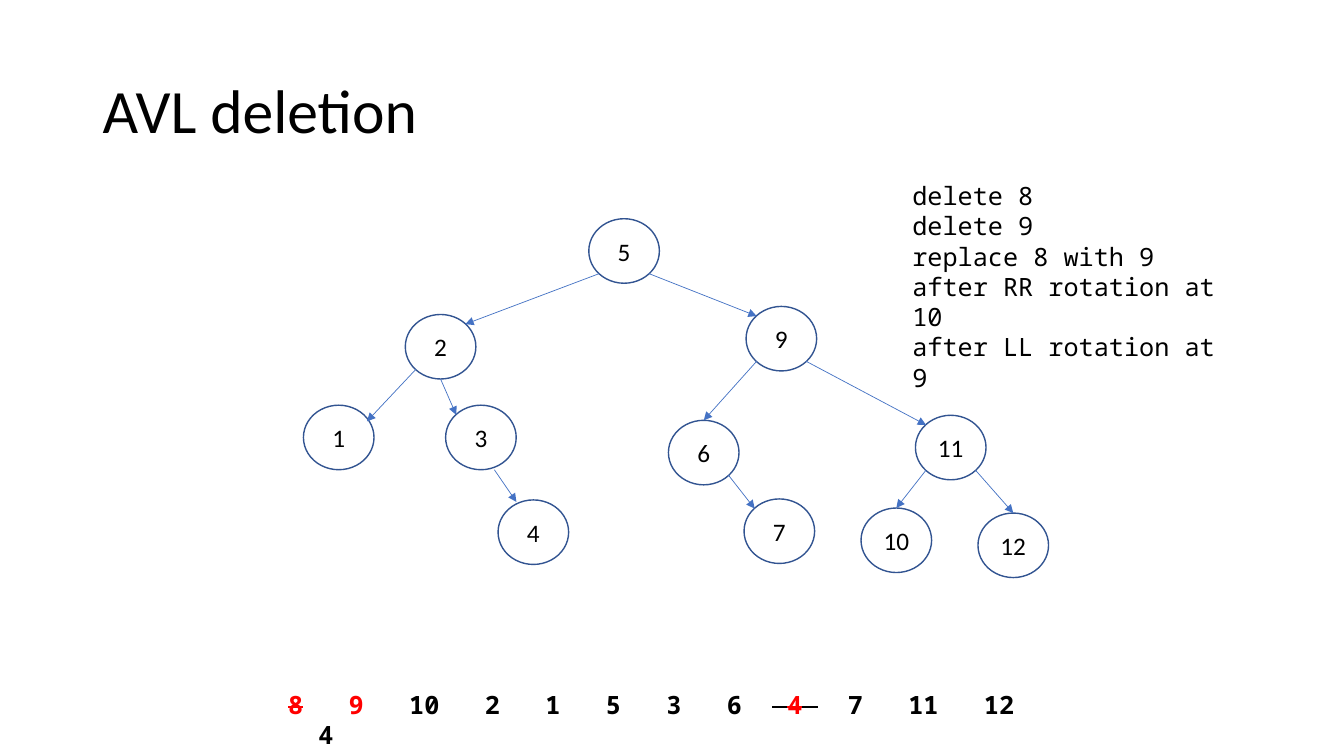
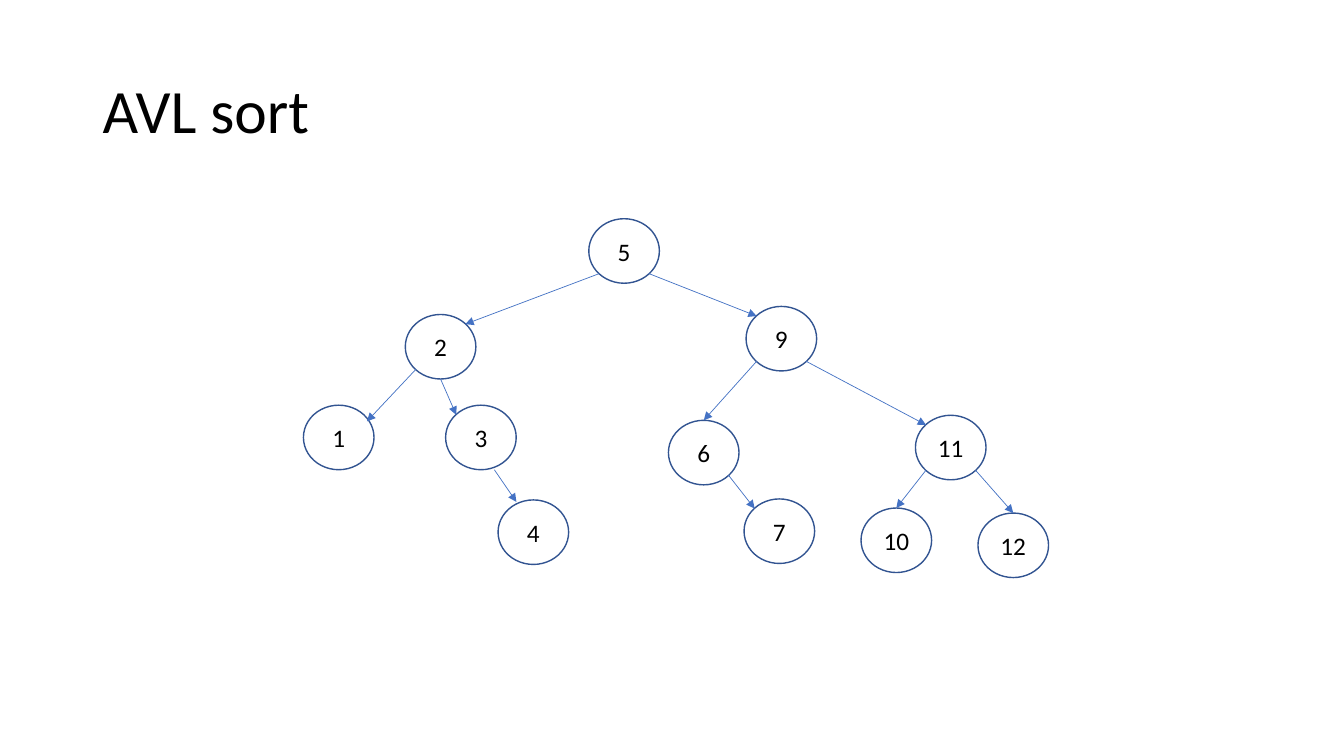
"""Build two slides that show an AVL tree after deletion and for sorting."""
from dataclasses import dataclass

from lxml import etree
from pptx import Presentation
from pptx import util as u
from pptx.dml.color import RGBColor
from pptx.enum import shapes, text
from pptx.oxml import ns


@dataclass(frozen=True)
class Theme:
    """Colours, fonts and sizes shared by the slides."""
    ink: str = "000000"
    mark: str = "FF0000"
    outline: str = "325491"
    arrow: str = "4472C4"
    body_font: str = "Calibri"
    mono_font: str = "Noto Sans Mono"
    title_size: int = 44
    body_size: int = 18
    node_width: float = 0.7
    node_height: float = 0.64
    mono_advance: float = 0.15


NODES = {
    5: (5.84, 2.17), 2: (4.02, 3.12), 9: (7.4, 3.04), 1: (3.01, 4.02),
    11: (9.08, 4.12), 6: (6.63, 4.17), 3: (4.42, 4.02), 7: (7.38, 4.95),
    12: (9.7, 5.09), 4: (4.94, 4.96), 10: (8.54, 5.04),
}
TOP, BOTTOM = (0.5, 0), (0.5, 1)
UPPER_LEFT, UPPER_RIGHT = (0.15, 0.15), (0.85, 0.15)
LOWER_LEFT, LOWER_RIGHT = (0.15, 0.85), (0.85, 0.85)
EDGES = [
    (5, LOWER_LEFT, 2, UPPER_RIGHT), (5, LOWER_RIGHT, 9, UPPER_LEFT),
    (2, LOWER_LEFT, 1, (0.9, 0.25)), (2, BOTTOM, 3, UPPER_LEFT),
    (3, (0.69, 1), 4, (0.26, 0.03)), (9, LOWER_LEFT, 6, TOP),
    (9, LOWER_RIGHT, 11, UPPER_LEFT), (6, LOWER_RIGHT, 7, UPPER_LEFT),
    (11, LOWER_LEFT, 10, TOP), (11, LOWER_RIGHT, 12, TOP),
]
STEPS = ["delete 8", "delete 9", "replace 8 with 9",
         "after RR rotation at 10", "after LL rotation at 9"]
KEYS = ["8", "9", "10", "2", "1", "5", "3", "6", " 4 ", "7", "11", "12"]
RED_KEYS = {"8", "9", " 4 "}
STRUCK_KEYS = {"8", " 4 "}
LAST_KEY = "4"


class TreeDeck:
    """Holds the theme, the deck and the current page."""

    def __init__(self, theme):
        """Start an empty widescreen deck."""
        self.theme = theme
        self.deck = Presentation()
        self.deck.slide_width = u.Inches(13.33)
        self.deck.slide_height = u.Inches(7.5)
        self.page = None

    def style(self, span, font, size, color=None, bold=False):
        """Format one run."""
        span.font.name = font
        span.font.size = u.Pt(size)
        span.font.bold = bold
        span.font.color.rgb = RGBColor.from_string(color or self.theme.ink)

    def text_box(self, left, top, width, height):
        """Add an empty wrapping text box."""
        box = self.page.shapes.add_textbox(
            u.Inches(left), u.Inches(top), u.Inches(width), u.Inches(height))
        box.text_frame.word_wrap = True
        return box

    def add_page(self, title):
        """Add a blank page with its title."""
        self.page = self.deck.slides.add_slide(self.deck.slide_layouts[6])
        frame = self.text_box(0.92, 0.4, 11.5, 1.45).text_frame
        frame.vertical_anchor = text.MSO_ANCHOR.MIDDLE
        frame.text = title
        para = frame.paragraphs[0]
        para.line_spacing = 0.9
        self.style(para.runs[0], self.theme.body_font, self.theme.title_size)

    def node(self, key, left, top):
        """Add one round tree node."""
        theme = self.theme
        node = self.page.shapes.add_shape(
            shapes.MSO_SHAPE.OVAL, u.Inches(left), u.Inches(top),
            u.Inches(theme.node_width), u.Inches(theme.node_height))
        node.shadow.inherit = False
        node.fill.background()
        node.line.color.rgb = RGBColor.from_string(theme.outline)
        node.line.width = u.Pt(1)
        node.text_frame.text = str(key)
        node.text_frame.vertical_anchor = text.MSO_ANCHOR.MIDDLE
        para = node.text_frame.paragraphs[0]
        para.alignment = text.PP_ALIGN.CENTER
        self.style(para.runs[0], theme.body_font, theme.body_size)

    def anchor(self, key, spot):
        """Return the point at a fraction of a node's frame."""
        left, top = NODES[key]
        return (u.Inches(left + spot[0] * self.theme.node_width),
                u.Inches(top + spot[1] * self.theme.node_height))

    def edge(self, parent, start, child, end):
        """Add an arrow from parent to child."""
        arrow = self.page.shapes.add_connector(
            shapes.MSO_CONNECTOR.STRAIGHT,
            *self.anchor(parent, start), *self.anchor(child, end))
        arrow.line.color.rgb = RGBColor.from_string(self.theme.arrow)
        arrow.line.width = u.Pt(0.5)
        etree.SubElement(arrow.line._get_or_add_ln(), ns.qn("a:tailEnd"),
                         type="triangle")
        etree.SubElement(arrow._element.spPr, ns.qn("a:effectLst"))

    def tree(self):
        """Draw the whole tree."""
        for key, (left, top) in NODES.items():
            self.node(key, left, top)
        for edge in EDGES:
            self.edge(*edge)

    def steps(self, lines):
        """List the deletion steps."""
        frame = self.text_box(8.95, 1.74, 3.47, 1.62).text_frame
        frame.auto_size = text.MSO_AUTO_SIZE.SHAPE_TO_FIT_TEXT
        frame.text = "\n".join(lines)
        for para in frame.paragraphs:
            self.style(para.runs[0], self.theme.mono_font, self.theme.body_size)

    def key_span(self, para, label, color=None, struck=False):
        """Add one bold run to the key row."""
        span = para.add_run()
        span.text = label
        self.style(span, self.theme.mono_font, self.theme.body_size, color, True)
        if struck:
            span._r.get_or_add_rPr().set("strike", "sngStrike")

    def key_row(self, keys, last_key):
        """Set the inserted keys on tab stops, with the last one below."""
        frame = self.text_box(2.76, 6.79, 7.52, 0.4).text_frame
        para = frame.paragraphs[0]
        tabs = etree.SubElement(para._p.get_or_add_pPr(), ns.qn("a:tabLst"))
        column = 0
        for key in keys:
            if column:
                indent = len(key) - len(key.lstrip())
                stop = u.Inches((column - indent) * self.theme.mono_advance)
                etree.SubElement(tabs, ns.qn("a:tab"), pos=str(stop), algn="l")
                self.key_span(para, "\t")
            struck = key in STRUCK_KEYS
            for part in key if struck else [key]:
                red = key in RED_KEYS and part.strip()
                self.key_span(para, part, self.theme.mark if red else None, struck)
            column += len(key.strip()) + 3
        para = frame.add_paragraph()
        indent = u.Inches(2 * self.theme.mono_advance)
        para._p.get_or_add_pPr().set("marL", str(indent))
        self.key_span(para, last_key)


def main():
    """Build and save the deck."""
    slides = TreeDeck(Theme())
    slides.add_page("AVL deletion")
    slides.tree()
    slides.steps(STEPS)
    slides.key_row(KEYS, LAST_KEY)
    slides.add_page("AVL sort")
    slides.tree()
    slides.deck.save("out.pptx")


if __name__ == "__main__":
    main()
